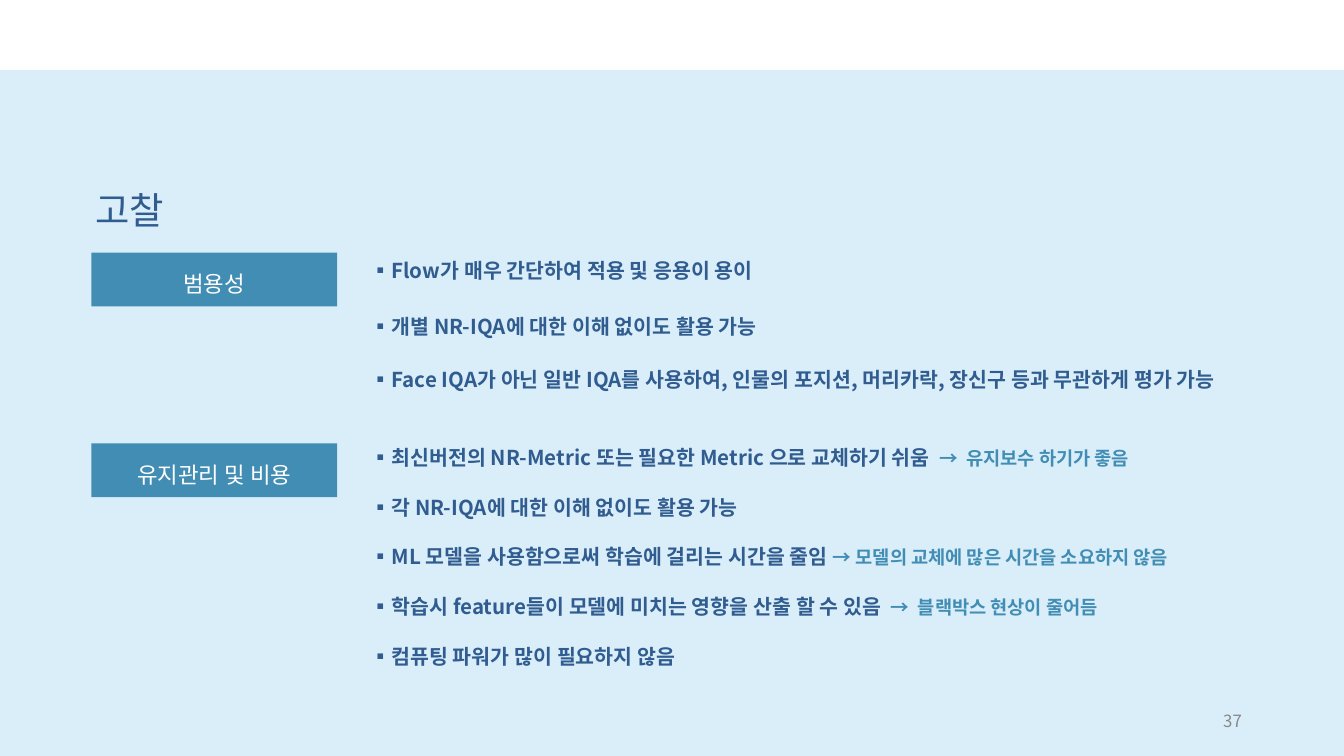
"""Build the discussion slide with two labelled groups of points."""
from pptx import Presentation
from pptx.dml.color import RGBColor
from pptx.enum.shapes import MSO_SHAPE
from pptx.enum.text import MSO_ANCHOR, MSO_AUTO_SIZE, PP_ALIGN
from pptx.oxml.ns import qn
from pptx.util import Inches, Pt

RECT = MSO_SHAPE.RECTANGLE
TOP, MIDDLE = MSO_ANCHOR.TOP, MSO_ANCHOR.MIDDLE
LEFT, CENTER, RIGHT = PP_ALIGN.LEFT, PP_ALIGN.CENTER, PP_ALIGN.RIGHT
NO_FIT = MSO_AUTO_SIZE.NONE
FONT = "Noto Sans CJK KR"
COLORS = {
    "background": "DAEEFA",
    "band": "FFFFFF",
    "text": "305C8F",
    "accent": "428DB4",
    "label": "FFFFFF",
    "number": "888888",
}
VERSATILITY = [
    ("▪Flow가 매우 간단하여 적용 및 응용이 용이", "", 1.15),
    ("▪개별 NR-IQA에 대한 이해 없이도 활용 가능", "", 1.15),
    ("▪Face IQA가 아닌 일반 IQA를 사용하여, 인물의 포지션, 머리카락, "
     "장신구 등과 무관하게 평가 가능", "", 1),
]
MAINTENANCE = [
    ("▪최신버전의 NR-Metric 또는 필요한 Metric 으로 교체하기 쉬움  ",
     "→  유지보수 하기가 좋음", 1),
    ("▪각 NR-IQA에 대한 이해 없이도 활용 가능", "", 1),
    ("▪ML 모델을 사용함으로써 학습에 걸리는 시간을 줄임 ",
     "→ 모델의 교체에 많은 시간을 소요하지 않음", 1),
    ("▪학습시 feature들이 모델에 미치는 영향을 산출 할 수 있음  ",
     "→  블랙박스 현상이 줄어듬", 1),
    ("▪컴퓨팅 파워가 많이 필요하지 않음", "", 1),
]


def rgb(name):
    return RGBColor.from_string(COLORS[name])


def place(sp, left, top, width, height):
    sp.left, sp.top = Inches(left), Inches(top)
    sp.width, sp.height = Inches(width), Inches(height)


def set_frame(sp, inset=0.1, anchor=TOP):
    tf = sp.text_frame
    tf.word_wrap = True
    tf.auto_size = NO_FIT
    tf.vertical_anchor = anchor
    tf.margin_left = tf.margin_right = Inches(inset)
    tf.margin_top = tf.margin_bottom = Inches(inset)
    return tf


def set_paragraph(p, align=LEFT, spacing=1.0, before=0):
    p.alignment = align
    p.line_spacing = float(spacing)
    p.space_before = Pt(before)
    p.space_after = Pt(0)


def add_run(p, text, size, color, bold=False):
    r = p.add_run()
    r.text = text
    r.font.size = Pt(size)
    r.font.bold = bold
    r.font.color.rgb = rgb(color)
    r.font.name = FONT
    rPr = r.font._element
    rPr.set("kern", "0")
    rPr.append(rPr.makeelement(qn("a:ea"), {"typeface": FONT}))


def add_rect(s, left, top, width, height, color):
    sp = s.shapes.add_shape(RECT, Inches(left), Inches(top),
                            Inches(width), Inches(height))
    sp.fill.solid()
    sp.fill.fore_color.rgb = rgb(color)
    sp.line.fill.background()
    sp.shadow.inherit = False
    return sp


def add_label(s, top, text):
    sp = add_rect(s, 0.68, top, 1.83, 0.4, "accent")
    p = set_frame(sp).paragraphs[0]
    set_paragraph(p, CENTER, 1.15)
    add_run(p, text, 12, "label")


def fill_title(sp, text):
    place(sp, 0.61, 1.24, 4.8, 0.54)
    p = set_frame(sp).paragraphs[0]
    set_paragraph(p, spacing=1.15)
    add_run(p, text, 20, "text")


def fill_list(sp, points, gap):
    tf = set_frame(sp)
    for i, (text, remark, spacing) in enumerate(points):
        p = tf.paragraphs[0] if i == 0 else tf.add_paragraph()
        set_paragraph(p, spacing=spacing, before=gap if i else 0)
        pPr = p._p.get_or_add_pPr()
        pPr.set("marL", "0")
        pPr.set("indent", "0")
        pPr.append(pPr.makeelement(qn("a:buNone"), {}))
        add_run(p, text, 11, "text", True)
        if remark:
            add_run(p, remark, 10, "accent", True)


def add_number(s, text):
    sp = s.shapes.add_textbox(Inches(7.06), Inches(5.21),
                              Inches(2.25), Inches(0.3))
    p = set_frame(sp, 0.07, MIDDLE).paragraphs[0]
    set_paragraph(p, RIGHT)
    add_run(p, text, 9, "number")


def main():
    prs = Presentation()
    prs.slide_width = Inches(10)
    prs.slide_height = prs.slide_width * 9 // 16
    s = prs.slides.add_slide(prs.slide_layouts[3])
    s.background.fill.solid()
    s.background.fill.fore_color.rgb = rgb("background")

    add_rect(s, 0, 0, 10, 0.52, "band")
    fill_title(s.shapes.title, "고찰")
    versatility, maintenance = s.placeholders[1], s.placeholders[2]
    place(versatility, 2.66, 1.79, 6.82, 1.44)
    fill_list(versatility, VERSATILITY, 15.2)
    place(maintenance, 2.66, 3.21, 6.46, 2.07)
    fill_list(maintenance, MAINTENANCE, 13.4)
    add_label(s, 1.88, "범용성")
    add_label(s, 3.3, "유지관리 및 비용")
    add_number(s, "37")
    prs.save("out.pptx")


if __name__ == "__main__":
    main()
